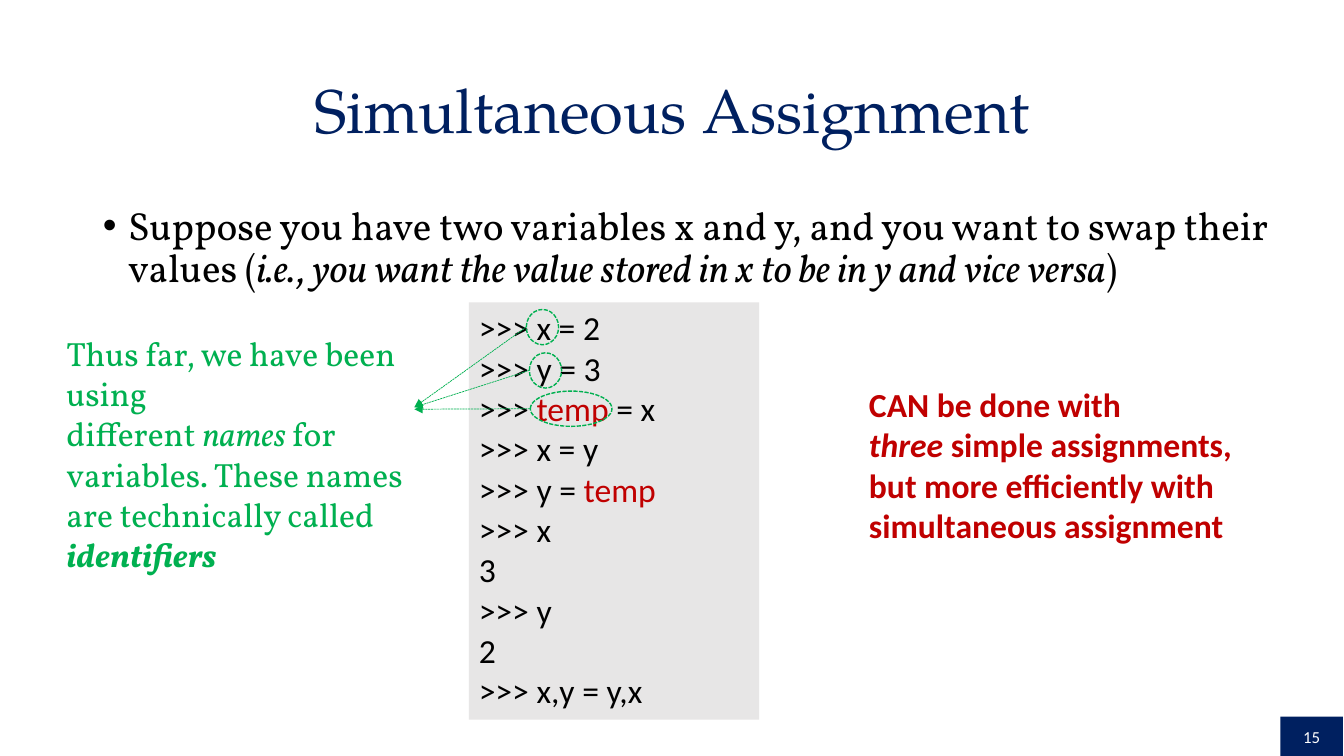
from pptx import Presentation
from pptx.util import Inches, Pt
from pptx.dml.color import RGBColor
from pptx.enum.dml import MSO_LINE as Dash
from pptx.enum.shapes import MSO_SHAPE as Shape, MSO_CONNECTOR as Link
from pptx.enum.text import PP_ALIGN as Align, MSO_ANCHOR as Anchor
from pptx.oxml.ns import qn
from lxml import etree

# Content: each paragraph is a list of (text, style) runs
TITLE = [[("Simultaneous Assignment", "title")]]
BODY = [[
    ("Suppose you have two variables x and y, and you want to swap their values (", "body"),
    ("i.e., you want the value stored in x to be in y and vice versa", "body_i"),
    (")", "body")]]
CODE = [">>> x = 2", ">>> y = 3", ">>> temp = x", ">>> x = y", ">>> y = temp",
        ">>> x", "3", ">>> y", "2", ">>>\u00a0x,y = y,x"]
CLAIM = [
    [("CAN be done with ", "claim")],
    [("three", "claim_i"), (" simple assignments,", "claim")],
    [("but more efficiently with", "claim")],
    [("simultaneous assignment", "claim")]]
NOTE = [
    [("Thus far, we have been using\ndifferent ", "note"), ("names ", "note_i"),
     ("for \nvariables. These names", "note")],
    [("are technically called \n", "note"), ("identifiers", "note_bi")]]
PAGE = [[("15", "page")]]

# Rings around the names: left, top, width, and height where the arrow ends
RINGS = [(5.22, 3.07, 0.32, 4.04), (5.25, 3.5, 0.32, 4.04), (5.26, 3.88, 0.81, 4.06)]
RING_H, TIP_X = 0.35, 4.11


# Theme
class Theme:
    navy, red, green = "002060", "C00000", "00B050"
    black, white, grey = "000000", "FFFFFF", "E7E6E6"
    head, serif, sans = "TeX Gyre Pagella", "Vollkorn", "Calibri"
    ring, arrow = 1, 0.5


def style(name, size, color, **more):
    return dict(name=name, size=Pt(size), color=color, **more)


T = Theme
STYLES = {
    "title": style(T.head, 44, T.navy),
    "body": style(T.serif, 28, T.black),
    "code": style(T.sans, 24, T.black),
    "temp": style(T.sans, 24, T.red),
    "claim": style(T.sans, 24, T.red, bold=True),
    "note": style(T.serif, 24, T.green),
    "page": style(T.sans, 12, T.white),
}
for base in ("body", "claim", "note"):
    STYLES[base + "_i"] = dict(STYLES[base], italic=True)
STYLES["note_bi"] = dict(STYLES["note_i"], bold=True)


# Helpers
def rgb(color):
    return RGBColor.from_string(color)


def place(shape, *box):
    for key, val in zip(("left", "top", "width", "height"), box):
        setattr(shape, key, Inches(val))


def write(shape, paras, wrap=True, anchor=Anchor.TOP, **fmt):
    frame = shape.text_frame
    frame.word_wrap, frame.vertical_anchor = wrap, anchor
    for i, runs in enumerate(paras):
        para = frame.add_paragraph() if i else frame.paragraphs[0]
        for key, val in dict(dict(alignment=Align.LEFT), **fmt).items():
            setattr(para, key, val)
        for text, kind in runs:
            for j, part in enumerate(text.split("\n")):
                if j:
                    para.add_line_break()
                if part:
                    run = para.add_run()
                    run.text = part
                    for key, val in STYLES[kind].items():
                        if key == "color":
                            run.font.color.rgb = rgb(val)
                        else:
                            setattr(run.font, key, val)


def panel(box, fill):
    rect = shapes.add_shape(Shape.RECTANGLE, *map(Inches, box))
    rect.shadow.inherit = False
    rect.fill.solid()
    rect.fill.fore_color.rgb = rgb(fill)
    rect.line.fill.background()
    return rect


def dash(line, width):
    line.color.rgb = rgb(T.green)
    line.width = Pt(width)
    line.dash_style = Dash.SQUARE_DOT


def code_runs(line):
    first, word, rest = line.partition("temp")
    parts = ((first, "code"), (word, "temp"), (rest, "code"))
    return [part for part in parts if part[0]]


deck = Presentation()
deck.slide_width, deck.slide_height = Inches(13.33), Inches(7.5)
slide = deck.slides.add_slide(deck.slide_layouts[1])
shapes = slide.shapes

# Title and bullet
title, body = shapes.title, slide.placeholders[1]
place(title, 0.92, 0.4, 11.5, 1.45)
write(title, TITLE, anchor=Anchor.MIDDLE, alignment=Align.CENTER, line_spacing=0.9)
place(body, 0.92, 2, 11.82, 5.14)
write(body, BODY, line_spacing=0.9, space_before=Pt(10))
props = body.text_frame.paragraphs[0]._p.get_or_add_pPr()
props.set("marL", str(Inches(0.25)))
props.set("indent", str(Inches(-0.25)))
etree.SubElement(props, qn("a:buFont"), typeface="Arial")
etree.SubElement(props, qn("a:buChar"), char="•")

# Code panel and claim
write(panel((4.65, 3, 2.88, 4.14), T.grey), [code_runs(line) for line in CODE])
claim = shapes.add_textbox(*map(Inches, (8.52, 3.76, 3.85, 1.72)))
write(claim, CLAIM, wrap=False)

# Rings and their arrows to the note
for left, top, width, tip in RINGS:
    ring = shapes.add_shape(Shape.OVAL, *map(Inches, (left, top, width, RING_H)))
    ring.shadow.inherit = False
    ring.fill.background()
    dash(ring.line, T.ring)
    ends = (left, top + RING_H / 2, TIP_X, tip)
    arrow = shapes.add_connector(Link.STRAIGHT, *map(Inches, ends))
    dash(arrow.line, T.arrow)
    etree.SubElement(arrow.line._get_or_add_ln(), qn("a:tailEnd"), type="triangle")
    etree.SubElement(arrow._element.spPr, qn("a:effectLst"))

# Note on names
note = shapes.add_textbox(*map(Inches, (0.56, 3.25, 3.75, 2.12)))
write(note, NOTE)

# Page number
page = panel((12.7, 7.11, 0.62, 0.4), T.navy)
write(page, PAGE, anchor=Anchor.MIDDLE, alignment=Align.CENTER)

deck.save("out.pptx")
